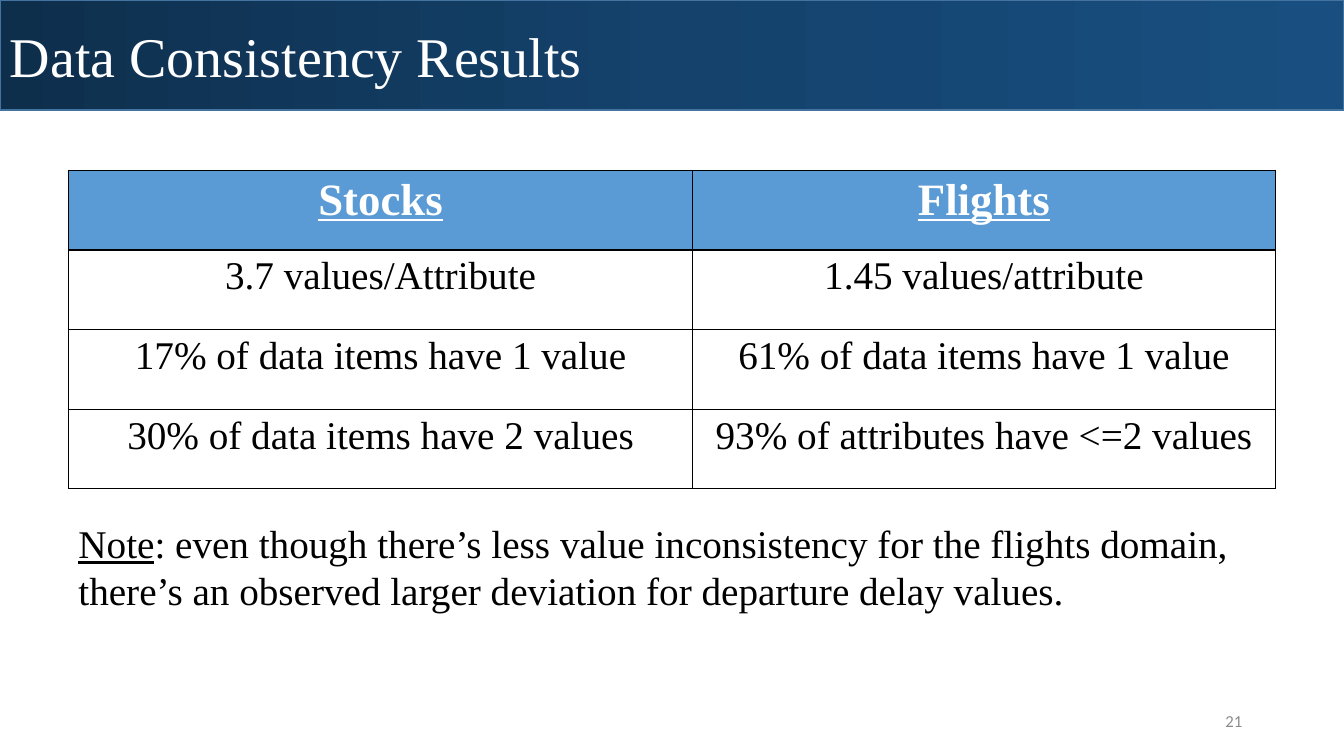
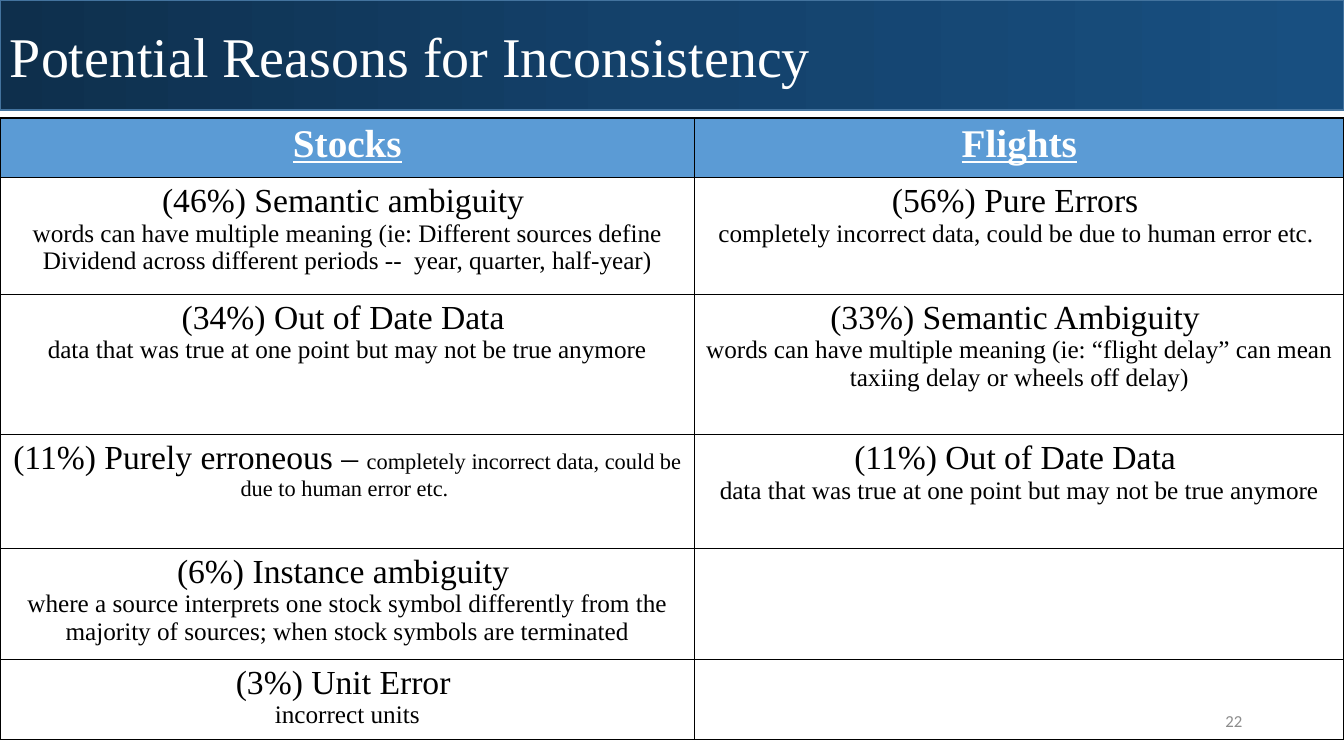
"""Build two slides that compare data consistency for stocks and flights."""
from copy import deepcopy

from lxml import etree
from pptx import Presentation
from pptx import util as u
from pptx.dml import color as dml
from pptx.enum import shapes, text
from pptx.oxml import ns

COLORS = {
    "band": ["0E2F4C", "14426C", "184F80"],
    "band_line": "43739E",
    "header": "5B9BD5",
    "white": "FFFFFF",
    "black": "000000",
    "number": "8C8C8C",
}
SERIF, SANS = "Times New Roman", "Calibri"
WIDTH, HEIGHT = 13.33, 7.5


def rgb(value):
    return dml.RGBColor.from_string(value)


class Slides:
    def __init__(self):
        self.deck = Presentation()
        self.deck.slide_width = u.Inches(WIDTH)
        self.deck.slide_height = u.Inches(HEIGHT)
        self.page = None

    def add_page(self, title, number):
        self.page = self.deck.slides.add_slide(self.deck.slide_layouts[6])
        self.title_band(title)
        self.text_box((9.42, 6.95, 3, 0.4), [(str(number), 12)], font=SANS,
                      color=COLORS["number"], align=text.PP_ALIGN.RIGHT,
                      anchor=text.MSO_ANCHOR.MIDDLE)

    def set_text(self, para, spans, font=SERIF, color=COLORS["black"],
                 align=text.PP_ALIGN.LEFT, bold=False, underlined=()):
        para.alignment = align
        para.font.name = font
        para.font.color.rgb = rgb(color)
        para.font.bold = bold
        sizes = {size for _, size in spans}
        if len(sizes) == 1:
            para.font.size = u.Pt(sizes.pop())
        for index, (words, size) in enumerate(spans):
            span = para.add_run()
            span.text = words.rstrip("\n")
            if len(spans) > 1:
                span.font.size = u.Pt(size)
            if index in underlined:
                span.font.underline = True
            if words.endswith("\n"):
                para.add_line_break()

    def title_band(self, title):
        band = self.page.shapes.add_shape(
            shapes.MSO_SHAPE.RECTANGLE, 0, 0, u.Inches(WIDTH), u.Inches(1.09))
        band.shadow.inherit = False
        band.fill.gradient()
        band.fill.gradient_angle = 0
        stop_list = next(band._element.iter(ns.qn("a:gsLst")))
        stop_list.insert(1, deepcopy(stop_list[0]))
        for stop, value, position in zip(band.fill.gradient_stops,
                                         COLORS["band"], (0, 0.5, 1)):
            stop.color.rgb = rgb(value)
            stop.position = position
        band.line.color.rgb = rgb(COLORS["band_line"])
        band.line.width = u.Pt(1)
        band.text_frame.vertical_anchor = text.MSO_ANCHOR.MIDDLE
        self.set_text(band.text_frame.paragraphs[0], [(title, 40)],
                      color=COLORS["white"])

    def text_box(self, place, spans, anchor=text.MSO_ANCHOR.TOP, **style):
        box = self.page.shapes.add_textbox(*map(u.Inches, place))
        box.text_frame.word_wrap = True
        box.text_frame.vertical_anchor = anchor
        self.set_text(box.text_frame.paragraphs[0], spans, **style)

    def border(self, cell):
        properties = cell._tc.get_or_add_tcPr()
        for index, side in enumerate(("lnL", "lnR", "lnT", "lnB")):
            line = etree.Element(ns.qn(f"a:{side}"), w=str(u.Pt(1)))
            fill = etree.SubElement(line, ns.qn("a:solidFill"))
            etree.SubElement(fill, ns.qn("a:srgbClr"), val=COLORS["black"])
            properties.insert(index, line)

    def table(self, left, top, widths, heights, header_size, rows):
        grid = self.page.shapes.add_table(
            len(heights), len(widths), u.Inches(left), u.Inches(top),
            u.Inches(sum(widths)), u.Inches(sum(heights))).table
        grid.first_row = grid.horz_banding = False
        for column, width in zip(grid.columns, widths):
            column.width = u.Inches(width)
        for row, height in zip(grid.rows, heights):
            row.height = u.Inches(height)
        header = [[(name, header_size)] for name in ("Stocks", "Flights")]
        for r, entries in enumerate([header, *rows]):
            for c, spans in enumerate(entries):
                cell = grid.cell(r, c)
                style = {}
                if r == 0:
                    cell.fill.solid()
                    cell.fill.fore_color.rgb = rgb(COLORS["header"])
                    style = {"color": COLORS["white"], "bold": True,
                             "underlined": (0,)}
                else:
                    cell.fill.background()
                self.border(cell)
                if spans:
                    self.set_text(cell.text_frame.paragraphs[0], spans,
                                  align=text.PP_ALIGN.CENTER, **style)


def reason(heading, detail, size=18):
    return [(heading, 24), (detail, size)]


def main():
    slides = Slides()

    slides.add_page("Data Consistency Results", 21)
    results = [
        ("3.7 values/Attribute", "1.45 values/attribute"),
        ("17% of data items have 1 value", "61% of data items have 1 value"),
        ("30% of data items have 2 values",
         "93% of attributes have <=2 values"),
    ]
    slides.table(0.68, 1.69, [6.19, 5.78], [0.79] * 4, 32,
                 [[[(words, 28)] for words in row] for row in results])
    slides.text_box((0.68, 5.1, 11.96, 1.04), [
        ("Note", 28),
        (": even though there’s less value inconsistency for the flights "
         "domain, there’s an observed larger deviation for departure delay "
         "values.", 28)], underlined=(0,))

    slides.add_page("Potential Reasons for Inconsistency", 22)
    errors = "completely incorrect data, could be due to human error etc. "
    outdated = "data that was true at one point but may not be true anymore"
    reasons = [
        [reason("(46%) Semantic ambiguity \n",
                "words can have multiple meaning (ie: Different sources "
                "define Dividend across different periods --  year, quarter, "
                "half-year)"),
         reason("(56%) Pure Errors \n", errors)],
        [reason("(34%) Out of Date Data \n", outdated),
         reason("(33%) Semantic Ambiguity \n",
                "words can have multiple meaning (ie: “flight delay” can "
                "mean taxiing delay or wheels off delay)")],
        [reason("(11%) Purely erroneous – ", errors, 16),
         reason("(11%) Out of Date Data \n", outdated)],
        [reason("(6%) Instance ambiguity \n",
                "where a source interprets one stock symbol differently from "
                "the majority of sources; when stock symbols are terminated"),
         None],
        [reason("(3%) Unit Error \n", "incorrect units"), None],
    ]
    slides.table(0, 1.17, [6.89, 6.44], [0.59, 1.16, 1.39, 1.13, 1.02, 0.74],
                 28, reasons)

    slides.deck.save("out.pptx")


if __name__ == "__main__":
    main()
